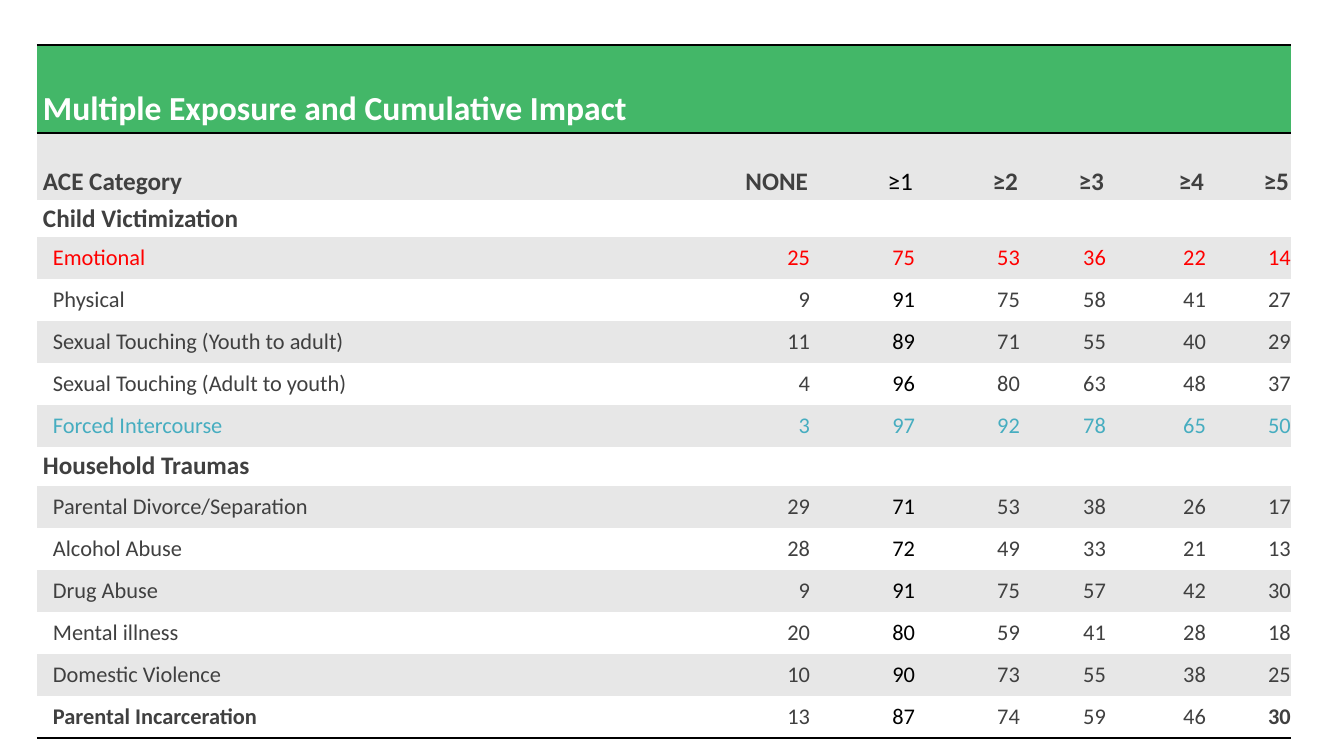
import pptx
import pptx.dml.color
import pptx.enum.text
import pptx.oxml
import pptx.oxml.ns
import pptx.util

PX = 914400 / 100.8
FONT = "Calibri"
GREEN, GRAY, WHITE = "43B768", "E7E7E7", "FFFFFF"
DARK, BLACK, RED, TEAL = "404040", "000000", "FF0000", "46ADC0"
NO_STYLE = "{2D5ABB26-0587-4C30-8999-92F81FD0307C}"

TITLE = "Multiple Exposure and Cumulative Impact"
HEADINGS = ["ACE Category", "NONE", "≥1", "≥2", "≥3", "≥4", "≥5"]
GROUPS = {
    "Child Victimization": [
        ("Emotional", 25, 75, 53, 36, 22, 14),
        ("Physical", 9, 91, 75, 58, 41, 27),
        ("Sexual Touching (Youth to adult)", 11, 89, 71, 55, 40, 29),
        ("Sexual Touching (Adult to youth)", 4, 96, 80, 63, 48, 37),
        ("Forced Intercourse", 3, 97, 92, 78, 65, 50),
    ],
    "Household Traumas": [
        ("Parental Divorce/Separation", 29, 71, 53, 38, 26, 17),
        ("Alcohol Abuse", 28, 72, 49, 33, 21, 13),
        ("Drug Abuse", 9, 91, 75, 57, 42, 30),
        ("Mental illness", 20, 80, 59, 41, 28, 18),
        ("Domestic Violence", 10, 90, 73, 55, 38, 25),
        ("Parental Incarceration", 13, 87, 74, 59, 46, 30),
    ],
}
ROW_COLORS = {"Emotional": RED, "Forced Intercourse": TEAL}
COLUMN_WIDTHS = [663, 110, 105, 105, 86, 100, 85]
TITLE_HEIGHT, HEADING_HEIGHT, DATA_HEIGHT = 82, 62, 42
GROUP_HEIGHTS = {"Child Victimization": 32, "Household Traumas": 39}


def px(length):
    return pptx.util.Emu(round(length * PX))


def rgb(hex_color):
    return pptx.dml.color.RGBColor.from_string(hex_color)


def write(cell, text, size, color, bold, line_spacing=None):
    paragraph = cell.text_frame.paragraphs[0]
    if line_spacing:
        paragraph.line_spacing = line_spacing
    run = paragraph.add_run()
    run.text = text
    run.font.name = FONT
    run.font.size = pptx.util.Pt(size)
    run.font.bold = bold
    run.font.color.rgb = rgb(color)
    return paragraph


def rule_row(row, sides):
    """Draw black 2 pt borders on the given sides, listed top before bottom."""
    for cell in row.cells:
        properties = cell._tc.get_or_add_tcPr()
        for position, side in enumerate(sides):
            line = pptx.oxml.parse_xml(
                f'<a:ln{side} {pptx.oxml.ns.nsdecls("a")} w="{pptx.util.Pt(2)}">'
                f'<a:solidFill><a:srgbClr val="{BLACK}"/></a:solidFill></a:ln{side}>')
            properties.insert(position, line)


def fill_heading_row(row):
    row.height = px(HEADING_HEIGHT)
    for cell, heading in zip(row.cells, HEADINGS):
        plain = heading == "≥1"
        paragraph = write(cell, heading, 18, BLACK if plain else DARK, not plain, 2)
        if heading != HEADINGS[0]:
            paragraph.alignment = pptx.enum.text.PP_ALIGN.RIGHT


def fill_group_row(row, group):
    row.height = px(GROUP_HEIGHTS[group])
    write(row.cells[0], group, 18, DARK, True)


def fill_data_row(row, values, is_last):
    row.height = px(DATA_HEIGHT)
    row_color = ROW_COLORS.get(values[0], DARK)
    for column, (cell, value) in enumerate(zip(row.cells, values)):
        cell.vertical_anchor = pptx.enum.text.MSO_ANCHOR.MIDDLE
        color = BLACK if column == 2 and row_color == DARK else row_color
        bold = is_last and column in (0, len(values) - 1)
        paragraph = write(cell, str(value), 16, color, bold)
        if column == 0:
            cell.margin_left = px(16)
        else:
            cell.margin_right = 0
            paragraph.alignment = pptx.enum.text.PP_ALIGN.RIGHT


def add_exposure_table(slide, left, top, width, height):
    row_count = 2 + sum(1 + len(items) for items in GROUPS.values())
    table = slide.shapes.add_table(
        row_count, len(HEADINGS), px(left), px(top), px(width), px(height)).table
    table.first_row = table.horz_banding = False
    table._tbl.tblPr.find(pptx.oxml.ns.qn("a:tableStyleId")).text = NO_STYLE
    for column, column_width in zip(table.columns, COLUMN_WIDTHS):
        column.width = px(column_width)
    for index, row in enumerate(table.rows):
        color = GREEN if index == 0 else (GRAY if index % 2 else WHITE)
        for cell in row.cells:
            cell.fill.solid()
            cell.fill.fore_color.rgb = rgb(color)
            cell.margin_left, cell.margin_right = px(6), px(2)
            cell.margin_top = cell.margin_bottom = px(3)

    rows = list(table.rows)
    rows[0].height = px(TITLE_HEIGHT)
    table.cell(0, 0).merge(table.cell(0, len(HEADINGS) - 1))
    write(table.cell(0, 0), TITLE, 24, WHITE, True, 2)
    rule_row(rows[0], "TB")
    fill_heading_row(rows[1])
    body = iter(rows[2:])
    for group, items in GROUPS.items():
        fill_group_row(next(body), group)
        for values in items:
            row = next(body)
            fill_data_row(row, values, row is rows[-1])
    rule_row(rows[-1], "B")


def main():
    presentation = pptx.Presentation()
    presentation.slide_width, presentation.slide_height = px(1344), px(756)
    slide = presentation.slides.add_slide(presentation.slide_layouts[6])
    add_exposure_table(slide, 37, 45, sum(COLUMN_WIDTHS), 683)
    presentation.save("out.pptx")


if __name__ == "__main__":
    main()
